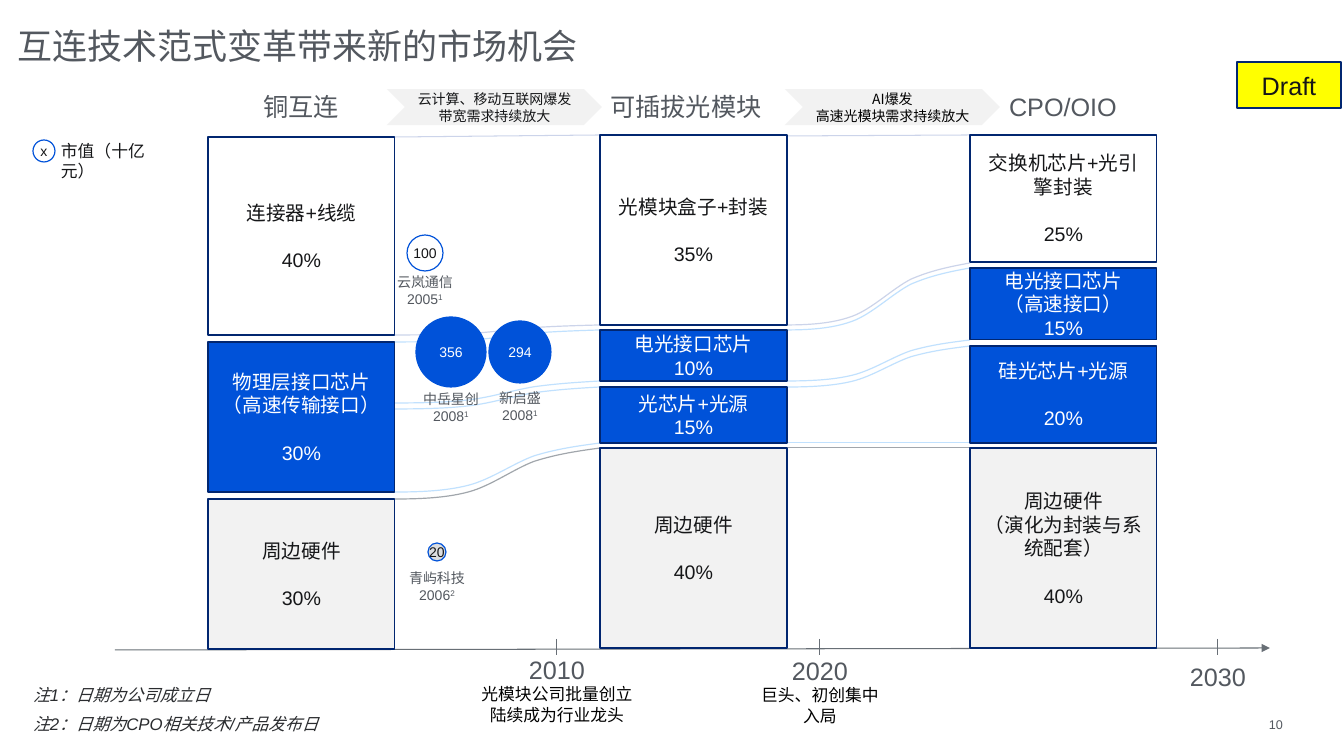
from pptx import Presentation
from pptx.dml.color import RGBColor
from pptx.enum.shapes import MSO_CONNECTOR as CONNECTOR, MSO_SHAPE as SHAPE
from pptx.enum.text import MSO_ANCHOR as ANCHOR, PP_ALIGN as ALIGN
from pptx.oxml.ns import qn
from pptx.util import Pt
from lxml.etree import SubElement

SCALE = 914400 / 100.8
BLUE, NAVY, WHITE, LIGHT = "0052D9", "012670", "FFFFFF", "F2F2F2"
INK, GREY, AXIS, BLACK = "151618", "53585F", "686F76", "000000"
PALE, SKY, SILVER = "CCD4EA", "C1E1FE", "A1A6AC"
CJK = "Noto Sans CJK SC"
BAR_WIDTH = 187
FLOW_CONTROLS = [(0.12, 0), (0.25, 0.02), (0.36, 0.14), (0.47, 0.26), (0.58, 0.59),
                 (0.68, 0.74), (0.79, 0.88), (0.89, 0.94), (1, 1)]

HEADERS = [(301, "铜互连"), (686, "可插拔光模块"), (1063, "CPO/OIO")]
COLUMNS = [
    (208, [(137, 335, WHITE, "连接器+线缆", "40%", 17),
           (342, 492, BLUE, "物理层接口芯片\n（高速传输接口）", "30%", 17),
           (499, 649, LIGHT, "周边硬件", "30%", 17)]),
    (600, [(135, 325, WHITE, "光模块盒子+封装", "35%", 17),
           (330, 381, BLUE, "电光接口芯片", "10%", 0),
           (387, 443, BLUE, "光芯片+光源", "15%", 0),
           (448, 648, LIGHT, "周边硬件", "40%", 17)]),
    (970, [(135, 262, WHITE, "交换机芯片+光引擎封装", "25%", 17),
           (268, 340, BLUE, "电光接口芯片\n（高速接口）", "15%", 0),
           (346, 443, BLUE, "硅光芯片+光源", "20%", 17),
           (448, 648, LIGHT, "周边硬件\n（演化为封装与系统配套）", "40%", 17)]),
]
FLOWS = [
    (395, 600, [(335, 325, PALE), (342, 330, SKY), (403, 381, SKY),
                (409, 387, SKY), (492, 443, SKY), (499, 448, SILVER)]),
    (786, 970, [(325, 263, PALE), (330, 268, SKY), (381, 340, SKY), (387, 346, SKY)]),
]
LEVELS = [(395, 600, 137, 135, PALE), (786, 970, 136, 135, PALE),
          (786, 970, 443, 443, SKY), (786, 970, 448, 448, SILVER)]
COMPANIES = [
    (425, 253, 36, WHITE, INK, "100", 269, "云岚通信\n2005", "1"),
    (451, 352, 70, BLUE, WHITE, "356", 386, "中岳星创\n2008", "1"),
    (437, 552, 18, "DCDEE0", INK, "20", 565, "青屿科技\n2006", "2"),
    (520, 352, 62, BLUE, WHITE, "294", 385, "新启盛\n2008", "1"),
]
MILESTONES = [(557, 649, 184, "2010", "光模块公司批量创立\n陆续成为行业龙头"),
              (820, 650, 149, "2020", "巨头、初创集中入局"),
              (1218, 656, 149, "2030", "")]
DRIVERS = [(387, "云计算、移动互联网爆发\n带宽需求持续放大", INK),
           (785, "AI爆发\n高速光模块需求持续放大", BLACK)]


def px(value):
    return round(value * SCALE)


def box(*lengths):
    return [px(length) for length in lengths]


def color(value):
    return RGBColor.from_string(value)


def write(frame, text, size=14, ink=INK, align=ALIGN.CENTER, gap=0,
          font="Arial", italic=False, superscript=""):
    lines = text.split("\n")
    for number, line in enumerate(lines, 1):
        paragraph = frame.paragraphs[-1]
        if paragraph.runs:
            paragraph = frame.add_paragraph()
            paragraph.space_before = Pt(gap)
        paragraph.alignment = align
        runs = [paragraph.add_run()]
        runs[0].text = line
        if superscript and number == len(lines):
            runs.append(paragraph.add_run())
            runs[1].text = superscript
            runs[1].font._element.set("baseline", "30000")
        for run in runs:
            run.font.size = Pt(size)
            run.font.name = font
            run.font.italic = italic
            run.font.color.rgb = color(ink)


def set_margins(frame, value=0):
    frame.margin_left = frame.margin_right = px(value)
    frame.margin_top = frame.margin_bottom = px(value)


def add_label(slide, bounds, text, anchor=ANCHOR.TOP, flush=False, **style):
    frame = slide.shapes.add_textbox(*box(*bounds)).text_frame
    frame.word_wrap = True
    frame.vertical_anchor = anchor
    if flush:
        set_margins(frame)
    write(frame, text, **style)
    return frame


def add_block(slide, kind, bounds, fill, outline=None):
    shape = slide.shapes.add_shape(kind, *box(*bounds))
    shape.shadow.inherit = False
    shape.fill.solid()
    shape.fill.fore_color.rgb = color(fill)
    if outline:
        shape.line.color.rgb = color(outline)
        shape.line.width = Pt(0.85)
    else:
        shape.line.fill.background()
    frame = shape.text_frame
    frame.word_wrap = True
    frame.vertical_anchor = ANCHOR.MIDDLE
    return frame


def add_line(slide, start, end, ink, arrow=False):
    line = slide.shapes.add_connector(CONNECTOR.STRAIGHT, *box(*start, *end))
    line.line.color.rgb = color(ink)
    line.line.width = Pt(0.75)
    if arrow:
        SubElement(line.line._get_or_add_ln(), qn("a:tailEnd"), type="triangle")
    SubElement(line._element.spPr, qn("a:effectLst"))


def bend(shape):
    outline = next(shape._element.iter(qn("a:path")))
    segments = outline.findall(qn("a:lnTo"))
    for first in range(0, len(segments), 3):
        curve = SubElement(outline, qn("a:cubicBezTo"))
        for segment in segments[first:first + 3]:
            curve.append(segment[0])
            outline.remove(segment)


def add_flow(slide, left, right, start, end, ink):
    builder = slide.shapes.build_freeform(px(left), px(start))
    points = [(px(left + across * (right - left)), px(start + along * (end - start)))
              for across, along in FLOW_CONTROLS]
    builder.add_line_segments(points, close=False)
    shape = builder.convert_to_shape()
    bend(shape)
    shape.shadow.inherit = False
    shape.fill.background()
    shape.line.color.rgb = color(ink)
    shape.line.width = Pt(0.85)


def add_circle(slide, center_x, center_y, size, fill, ink, text):
    bounds = (center_x - size / 2, center_y - size / 2, size, size)
    frame = add_block(slide, SHAPE.OVAL, bounds, fill, BLUE)
    set_margins(frame)
    frame.word_wrap = False
    write(frame, text, size=10, ink=ink)


def add_company(slide, center_x, center_y, size, fill, ink, value, top, name, note):
    add_circle(slide, center_x, center_y, size, fill, ink, value)
    add_label(slide, (center_x - 81, top, 162, 44), name, size=10, ink=GREY, superscript=note)


def add_column(slide, left, bars):
    for top, bottom, fill, name, share, gap in bars:
        frame = add_block(slide, SHAPE.RECTANGLE, (left, top, BAR_WIDTH, bottom - top), fill, NAVY)
        ink = WHITE if fill == BLUE else INK
        write(frame, name, ink=ink)
        write(frame, share, ink=ink, gap=gap)


def add_milestone(slide, center, top, width, year, event):
    add_line(slide, (center, 639), (center, 655), AXIS)
    height = 82 if event else 40
    frame = add_label(slide, (center - width / 2, top, width, height), year, size=18, ink=GREY)
    if event:
        write(frame, event, size=12, ink=BLACK, font=CJK)


def main():
    presentation = Presentation()
    presentation.slide_width, presentation.slide_height = box(1344, 756)
    slide = presentation.slides.add_slide(presentation.slide_layouts[6])

    add_label(slide, (18, 5, 1066, 81), "互连技术范式变革带来新的市场机会", anchor=ANCHOR.MIDDLE,
              flush=True, size=25, ink=GREY, align=ALIGN.LEFT)
    for left, right, start, end, ink in LEVELS:
        add_line(slide, (left, start), (right, end), ink)
    for left, right, curves in FLOWS:
        for start, end, ink in curves:
            add_flow(slide, left, right, start, end, ink)
    add_line(slide, (115, 650), (1270, 648), AXIS, arrow=True)
    for center, text in HEADERS:
        add_label(slide, (center - 130, 86, 260, 40), text, size=18, ink=GREY)
    for left, bars in COLUMNS:
        add_column(slide, left, bars)
    for milestone in MILESTONES:
        add_milestone(slide, *milestone)
    for company in COMPANIES:
        add_company(slide, *company)
    for left, text, ink in DRIVERS:
        frame = add_block(slide, SHAPE.CHEVRON, (left, 89, 215, 36), LIGHT)
        set_margins(frame)
        write(frame, text, size=10, ink=ink, font=CJK)

    add_circle(slide, 44, 151, 22, WHITE, INK, "x")
    add_label(slide, (51, 136, 126, 30), "市值（十亿元）", size=12, align=ALIGN.LEFT)
    notes = add_label(slide, (33, 685, 815, 46), "注1：日期为公司成立日", flush=True, size=12,
                      ink="2A2C2F", align=ALIGN.LEFT, italic=True)
    write(notes, "注2：日期为CPO相关技术/产品发布日", size=12, ink="2A2C2F",
          align=ALIGN.LEFT, italic=True, gap=6)
    write(add_block(slide, SHAPE.RECTANGLE, (1237, 62, 104, 46), "FFFF00", NAVY), "Draft", size=18)
    add_label(slide, (1247, 717, 36, 15), "10", anchor=ANCHOR.BOTTOM, flush=True,
              size=9, ink=GREY, align=ALIGN.RIGHT)
    presentation.save("out.pptx")


if __name__ == "__main__":
    main()
